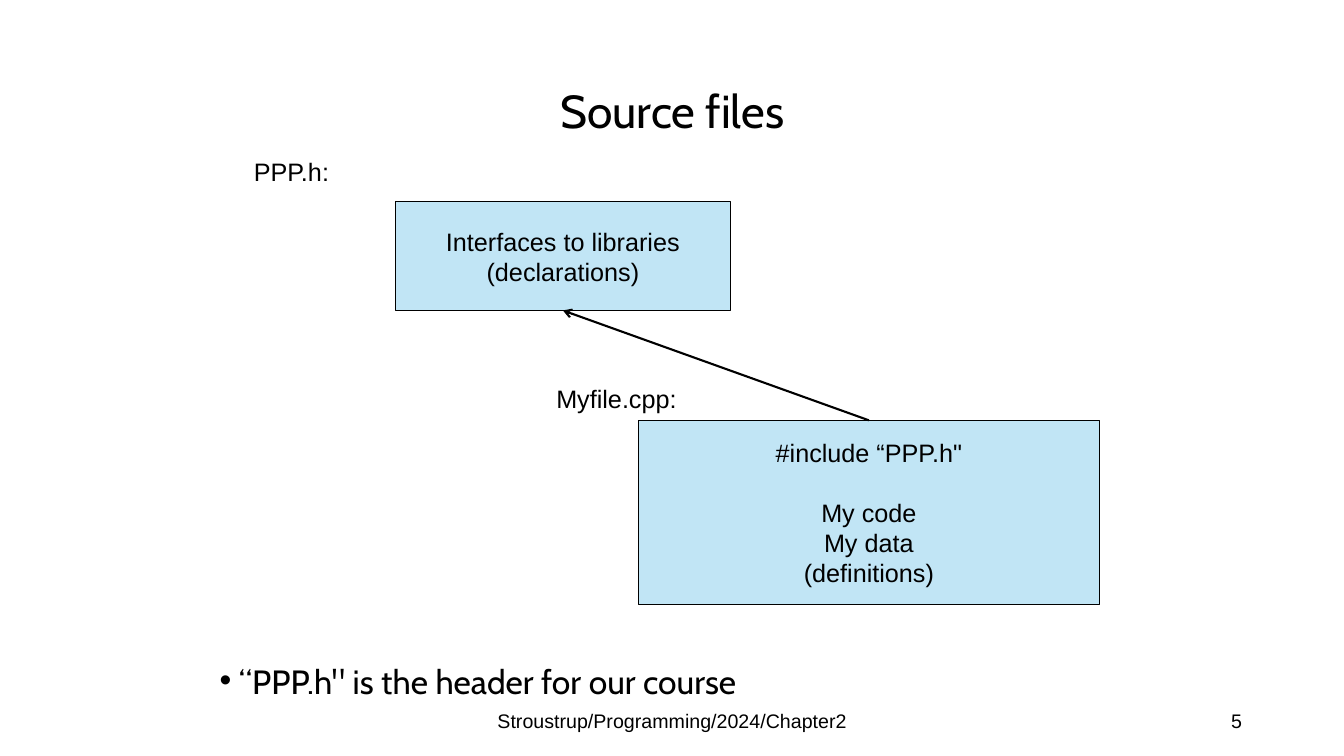
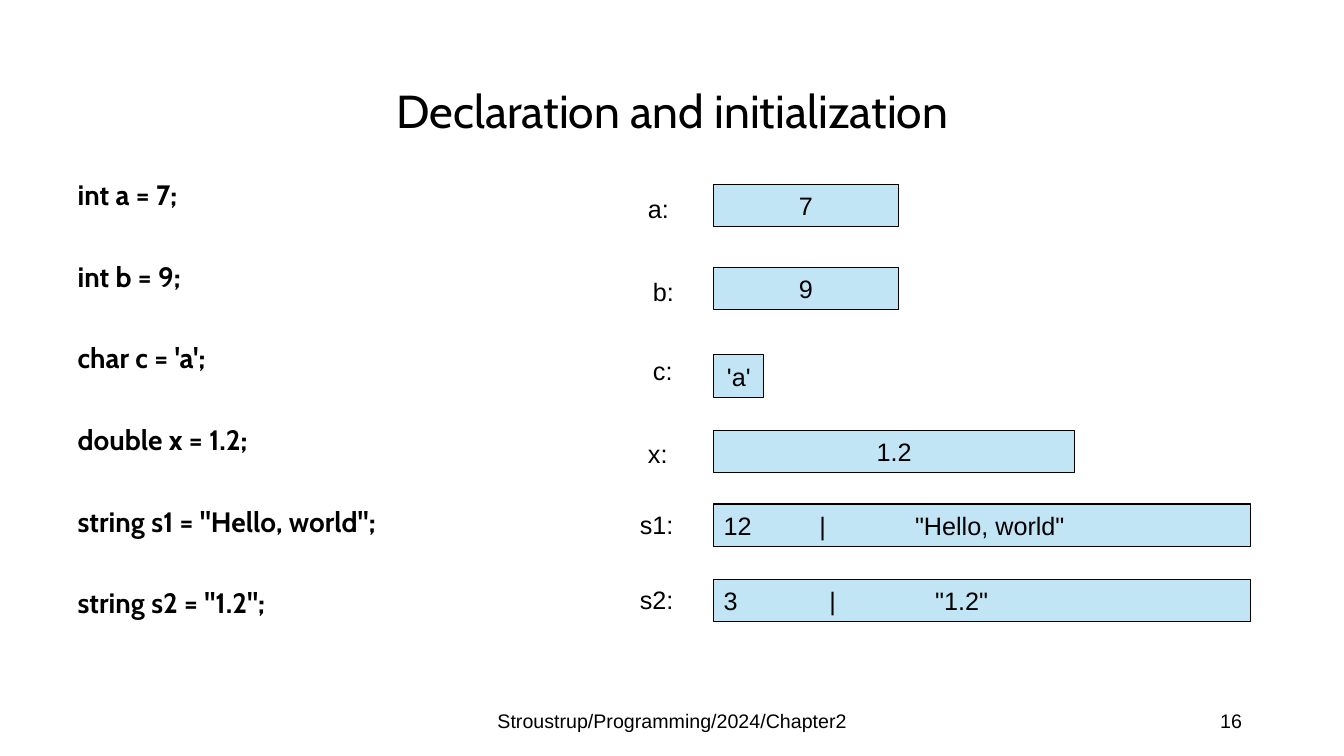
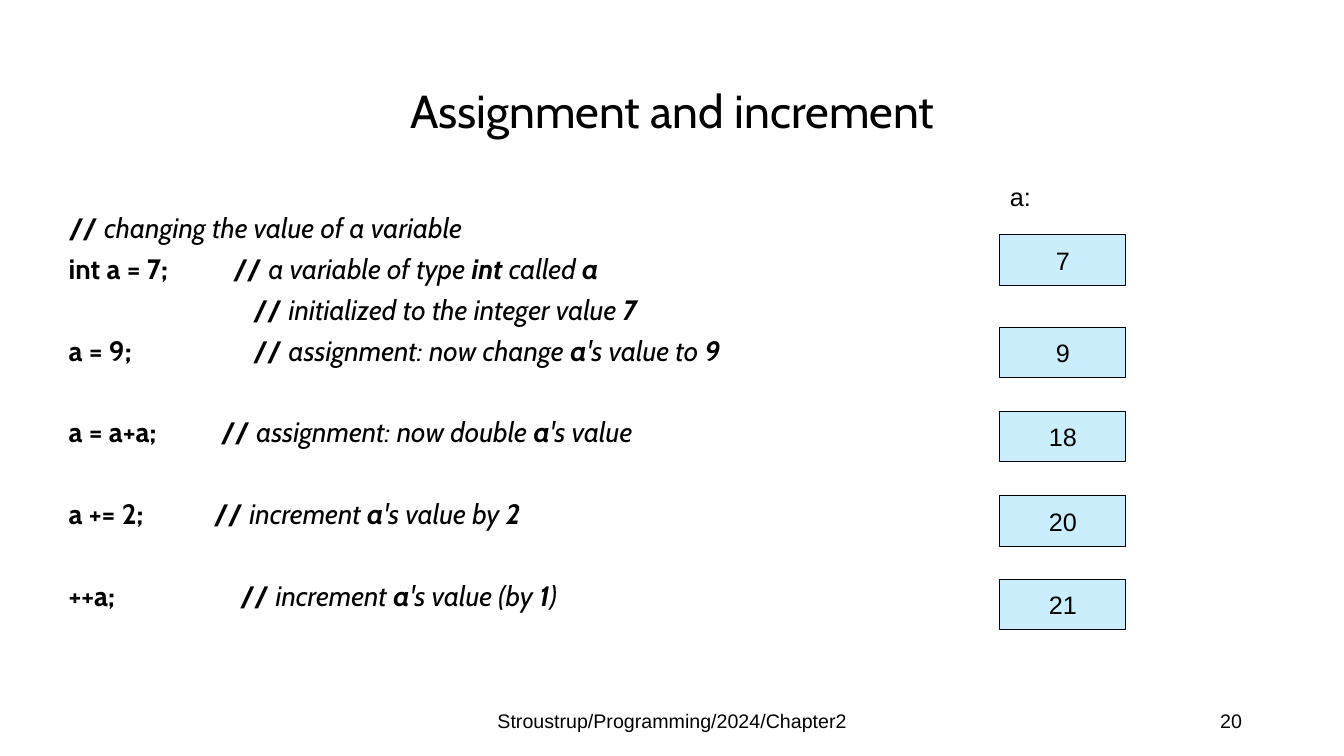
from dataclasses import dataclass

from lxml.etree import SubElement
from pptx import Presentation
from pptx.dml.color import RGBColor
from pptx.enum.shapes import MSO_CONNECTOR, MSO_SHAPE
from pptx.enum.text import MSO_ANCHOR, MSO_AUTO_SIZE, PP_ALIGN
from pptx.oxml.ns import qn
from pptx.util import Inches, Pt


@dataclass(frozen=True)
class Theme:
    ink: RGBColor = RGBColor(0x00, 0x00, 0x00)
    sky: RGBColor = RGBColor(0xC1, 0xE5, 0xF5)
    pale: RGBColor = RGBColor(0xCA, 0xEE, 0xFB)
    heading_font: str = "Cabin"
    label_font: str = "Arial"
    title_size: int = 33
    bullet_size: int = 24
    code_size: int = 20
    label_size: int = 18
    footer_size: int = 14
    line_gap: float = 7.5   # space before a code line
    block_gap: float = 36.7  # space before a code line that opens a block


theme = Theme()


def write(box, lines, size=theme.label_size, font=theme.label_font, align=PP_ALIGN.LEFT,
          anchor=MSO_ANCHOR.TOP, bold=False, spacing=1.0, gaps=None, tab_steps=None,
          bullet=False):
    """Fill a box; a line is a string or a list of (text, style), style holding b and i."""
    frame = box.text_frame
    frame.word_wrap = True
    frame.auto_size = MSO_AUTO_SIZE.NONE
    frame.vertical_anchor = anchor
    for index, line in enumerate(lines):
        para = frame.paragraphs[0] if index == 0 else frame.add_paragraph()
        para.alignment = align
        para.line_spacing = spacing
        para.space_before = Pt(gaps[index] if gaps else 0)
        properties = para._p.get_or_add_pPr()
        hanging = Inches(0.19) if bullet else 0
        properties.set("marL", str(hanging))
        properties.set("indent", str(-hanging))
        if not bullet:
            SubElement(properties, qn("a:buNone"))
        if tab_steps and tab_steps[index]:
            properties.set("defTabSz", str(Inches(tab_steps[index])))
        spans = [(line, "b" if bold else "")] if isinstance(line, str) else line
        for text, style in spans:
            span = para.add_run()
            span.text = text
            span.font.name = font
            span.font.size = Pt(size)
            span.font.bold = "b" in style
            span.font.italic = "i" in style
            span.font.color.rgb = theme.ink


def add_box(page, place, lines, fill=None, **text_format):
    """Add a text box, or an outlined rectangle when a fill is given."""
    place = [Inches(length) for length in place]
    if fill is None:
        box = page.shapes.add_textbox(*place)
    else:
        box = page.shapes.add_shape(MSO_SHAPE.RECTANGLE, *place)
        box.shadow.inherit = False
        box.fill.solid()
        box.fill.fore_color.rgb = fill
        box.line.color.rgb = theme.ink
        box.line.width = Pt(0.75)
        text_format = {"align": PP_ALIGN.CENTER, "anchor": MSO_ANCHOR.MIDDLE, **text_format}
    write(box, lines, **text_format)
    return box


deck = Presentation()
deck.slide_width, deck.slide_height = Inches(40 / 3), Inches(7.5)

# Shared layout: title place
layout = deck.slide_layouts[1]
heading = layout.placeholders[0]
heading.left, heading.top = Inches(0.92), Inches(0.4)
heading.width, heading.height = Inches(11.5), Inches(1.45)

# Pages with title, body place and footer
pages = []
for title, number, body_place in [
    ("Source files", "5", (2.08, 6.58, 9, 0.45)),
    ("Declaration and initialization", "16", (0.67, 1.75, 5.42, 4.92)),
    ("Assignment and increment", "20", (0.58, 2.08, 8.83, 4.5)),
]:
    page = deck.slides.add_slide(layout)
    write(page.shapes.title, [title], size=theme.title_size, font=theme.heading_font,
          align=PP_ALIGN.CENTER, anchor=MSO_ANCHOR.MIDDLE, spacing=0.9)
    body = page.placeholders[1]
    body.left, body.top, body.width, body.height = [Inches(length) for length in body_place]
    add_box(page, (4.42, 6.95, 4.5, 0.4), ["Stroustrup/Programming/2024/Chapter2"],
            size=theme.footer_size, align=PP_ALIGN.CENTER, anchor=MSO_ANCHOR.MIDDLE)
    add_box(page, (9.42, 6.95, 3, 0.4), [number],
            size=theme.footer_size, align=PP_ALIGN.RIGHT, anchor=MSO_ANCHOR.MIDDLE)
    pages.append(page)
files_page, declaration_page, assignment_page = pages

# Source files: header and program, joined by an arrow
write(files_page.placeholders[1], ["“PPP.h\" is the header for our course"],
      size=theme.bullet_size, font=theme.heading_font, spacing=0.8,
      gaps=[theme.line_gap], bullet=True)
header_box = add_box(files_page, (3.92, 2, 3.33, 1.08),
                     ["Interfaces to libraries", "(declarations)"], fill=theme.sky)
program_box = add_box(files_page, (6.33, 4.17, 4.58, 1.83),
                      ["#include “PPP.h\"", "My code", "My data", "(definitions)"],
                      fill=theme.sky, gaps=[0, 21, 0, 0])
add_box(files_page, (5.42, 3.75, 1.58, 0.4), ["Myfile.cpp:"])
add_box(files_page, (2.42, 1.5, 2.75, 0.4), ["PPP.h:"])

arrow = files_page.shapes.add_connector(MSO_CONNECTOR.STRAIGHT, 0, 0, 0, 0)
arrow.begin_connect(program_box, 0)
arrow.end_connect(header_box, 2)
arrow.line.color.rgb = theme.ink
arrow.line.width = Pt(1.5)
SubElement(arrow.line._get_or_add_ln(), qn("a:tailEnd"), type="arrow")
SubElement(arrow._element.spPr, qn("a:effectLst"))

# Declaration and initialization: code on the left
declarations = ["int a = 7;", "int b = 9;", "char c = 'a';", "double x = 1.2;",
                "string s1 = \"Hello, world\";", "string s2 = \"1.2\";"]
write(declaration_page.placeholders[1], declarations, size=theme.code_size,
      font=theme.heading_font, bold=True, spacing=0.9,
      gaps=[theme.line_gap] + [theme.block_gap] * (len(declarations) - 1))

# Memory cells on the right: name, its left and top, value, cell top and width, tab step
for name, left, top, value, cell_top, width, step in [
    ("a:", 6.33, 1.87, "7", 1.83, 1.83, None),
    ("b:", 6.38, 2.69, "9", 2.65, 1.83, None),
    ("c:", 6.38, 3.48, "'a'", 3.52, 0.5, None),
    ("x:", 6.33, 4.3, "1.2", 4.27, 3.58, None),
    ("s1:", 6.25, 5, "12\t|\t\"Hello, world\"", 5, 5.33, 0.95),
    ("s2:", 6.25, 5.75, "3\t|\t\"1.2\"", 5.75, 5.33, 1.05),
]:
    add_box(declaration_page, (left, top, 0.67, 0.4), [name])
    add_box(declaration_page, (7.08, cell_top, width, 0.42), [value], fill=theme.sky,
            align=PP_ALIGN.LEFT if step else PP_ALIGN.CENTER, tab_steps=[step])

# Assignment and increment: space before, tab step to the comment, spans
statements = [
    (theme.line_gap, None, [("// ", "b"), ("changing the value of a variable", "i")]),
    (theme.line_gap, 1.63, [("int a = 7;\t// ", "b"), ("a variable of type", "i"),
                            (" int ", "bi"), ("called", "i"), (" a", "bi")]),
    (theme.line_gap, 1.83, [("\t// ", "b"), ("initialized to the integer value", "i"),
                            (" 7", "bi")]),
    (theme.line_gap, 1.83, [("a = 9;\t// ", "b"), ("assignment: now change ", "i"),
                            ("a", "bi"), ("'s value to ", "i"), ("9", "bi")]),
    (theme.block_gap, 1.51, [("a = a+a;\t// ", "b"), ("assignment: now double", "i"),
                             (" a", "bi"), ("'s value", "i")]),
    (theme.block_gap, 1.44, [("a += 2;\t// ", "b"), ("increment ", "i"), ("a", "bi"),
                             ("'s value by", "i"), (" 2", "bi")]),
    (theme.block_gap, 1.7, [("++a;\t// ", "b"), ("increment ", "i"), ("a", "bi"),
                            ("'s value (by", "i"), (" 1", "bi"), (")", "i")]),
]
write(assignment_page.placeholders[1], [spans for _, _, spans in statements],
      size=theme.code_size, font=theme.heading_font, spacing=0.9,
      gaps=[gap for gap, _, _ in statements],
      tab_steps=[step for _, step, _ in statements])

# Successive values of the variable
add_box(assignment_page, (9.92, 1.75, 0.5, 0.4), ["a:"])
for value, top in [("7", 2.33), ("9", 3.25), ("18", 4.08), ("20", 4.92), ("21", 5.75)]:
    add_box(assignment_page, (9.92, top, 1.25, 0.5), [value], fill=theme.pale)

deck.save("out.pptx")
